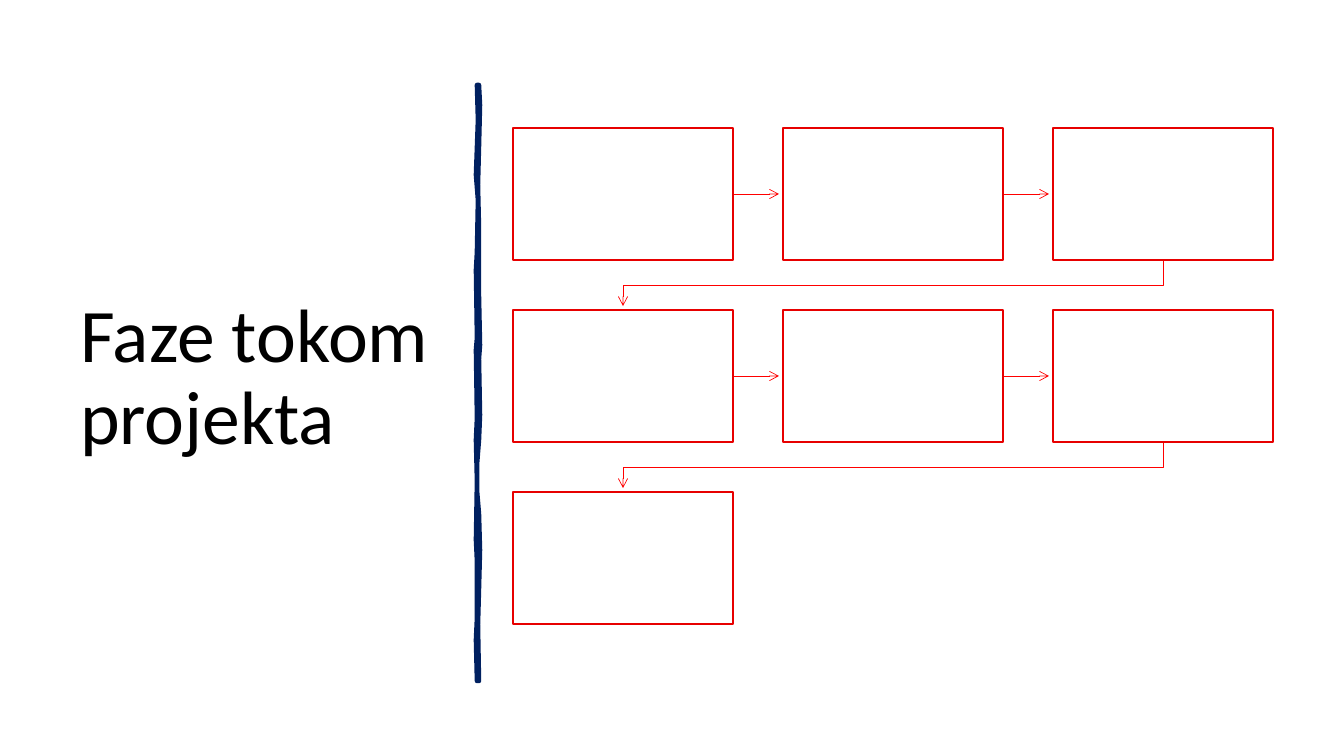
from pptx import Presentation
from pptx.dml.color import RGBColor
from pptx.enum.shapes import MSO_CONNECTOR, MSO_SHAPE
from pptx.enum.text import MSO_ANCHOR, MSO_AUTO_SIZE, PP_ALIGN
from pptx.oxml.ns import qn
from pptx.util import Pt
from lxml import etree

STRAIGHT = MSO_CONNECTOR.STRAIGHT
RECTANGLE = MSO_SHAPE.RECTANGLE
MIDDLE = MSO_ANCHOR.MIDDLE
NO_AUTOFIT = MSO_AUTO_SIZE.NONE
LEFT = PP_ALIGN.LEFT

BLACK = RGBColor(0x00, 0x00, 0x00)
WHITE = RGBColor(0xFF, 0xFF, 0xFF)
NAVY = RGBColor(0x00, 0x20, 0x60)
RED = RGBColor(0xFF, 0x00, 0x00)
DARK_RED = RGBColor(0xE7, 0x00, 0x00)

EMU_PER_PX = 914400 / 100.8
TITLE_LAYOUT = 5

PHASES, COLUMNS = 7, 3
GRID_LEFT, GRID_TOP = 513, 128
BOX_WIDTH, BOX_HEIGHT = 220, 132
STEP_X, STEP_Y = 270, 182
ARROW_GAP = 4

DIVIDER = [
    (479, 85), (480, 105), (479, 147), (478, 185), (479, 228), (479, 296),
    (480, 345), (479, 359), (480, 415), (479, 440), (477, 465), (477, 490),
    (479, 514), (480, 550), (479, 589), (478, 625), (479, 681),
    (477, 681), (476, 640), (477, 618), (477, 561), (476, 540), (477, 481),
    (476, 440), (477, 418), (476, 350), (477, 338), (476, 270), (477, 252),
    (478, 200), (476, 175), (478, 120), (477, 85),
]


def px(length):
    return round(length * EMU_PER_PX)


class SlideBuilder:
    def __init__(self, deck, font):
        self.slide = deck.slides.add_slide(deck.slide_layouts[TITLE_LAYOUT])
        self.shapes = self.slide.shapes
        self.font = font

    def title(self, text, left, top, width, height, size):
        title = self.shapes.title
        title.left, title.top = px(left), px(top)
        title.width, title.height = px(width), px(height)
        frame = title.text_frame
        frame.word_wrap = True
        frame.auto_size = NO_AUTOFIT
        frame.vertical_anchor = MIDDLE
        para = frame.paragraphs[0]
        para.alignment = LEFT
        para.line_spacing = 0.9
        span = para.add_run()
        span.text = text
        span.font.name = self.font
        span.font.size = Pt(size)
        span.font.color.rgb = BLACK

    def outline(self, points, color, weight, closed):
        """Draw a polygon, or an unfilled open path, through the points."""
        builder = self.shapes.build_freeform(*points[0], scale=EMU_PER_PX)
        builder.add_line_segments(points[1:], close=closed)
        shape = builder.convert_to_shape()
        shape.shadow.inherit = False
        if closed:
            shape.fill.solid()
            shape.fill.fore_color.rgb = color
        else:
            shape.fill.background()
        self.set_line(shape, color, weight)
        return shape

    def box(self, left, top):
        box = self.shapes.add_shape(
            RECTANGLE, px(left), px(top), px(BOX_WIDTH), px(BOX_HEIGHT))
        box.shadow.inherit = False
        box.fill.solid()
        box.fill.fore_color.rgb = WHITE
        self.set_line(box, DARK_RED, 1)

    def arrow(self, points):
        if len(points) == 2:
            ends = [px(value) for point in points for value in point]
            arrow = self.shapes.add_connector(STRAIGHT, *ends)
            etree.SubElement(arrow._element.spPr, qn("a:effectLst"))
            self.set_line(arrow, RED, 0.5)
        else:
            arrow = self.outline(points, RED, 0.5, closed=False)
        line = arrow.line._get_or_add_ln()
        etree.SubElement(line, qn("a:tailEnd"), type="arrow")

    def set_line(self, shape, color, weight):
        shape.line.color.rgb = color
        shape.line.width = Pt(weight)


def phase_corner(index):
    row, column = divmod(index, COLUMNS)
    return GRID_LEFT + column * STEP_X, GRID_TOP + row * STEP_Y


def arrow_points(index):
    """Route from one phase to the next, wrapping at the end of a row."""
    left, top = phase_corner(index)
    next_left, next_top = phase_corner(index + 1)
    if top == next_top:
        middle = top + BOX_HEIGHT // 2
        return [(left + BOX_WIDTH, middle), (next_left - ARROW_GAP, middle)]
    start_x, end_x = left + BOX_WIDTH // 2, next_left + BOX_WIDTH // 2
    bottom = top + BOX_HEIGHT
    bend = (bottom + next_top) // 2
    return [(start_x, bottom), (start_x, bend), (end_x, bend),
            (end_x, next_top - ARROW_GAP)]


def main():
    deck = Presentation()
    deck.slide_width, deck.slide_height = px(1344), px(756)
    page = SlideBuilder(deck, "Calibri")
    page.title("Faze tokom projekta", 70, 71, 377, 616, size=54)
    page.outline(DIVIDER, NAVY, 3.25, closed=True)
    for index in range(PHASES):
        if index < PHASES - 1:
            page.arrow(arrow_points(index))
        page.box(*phase_corner(index))
    deck.save("out.pptx")


if __name__ == "__main__":
    main()
